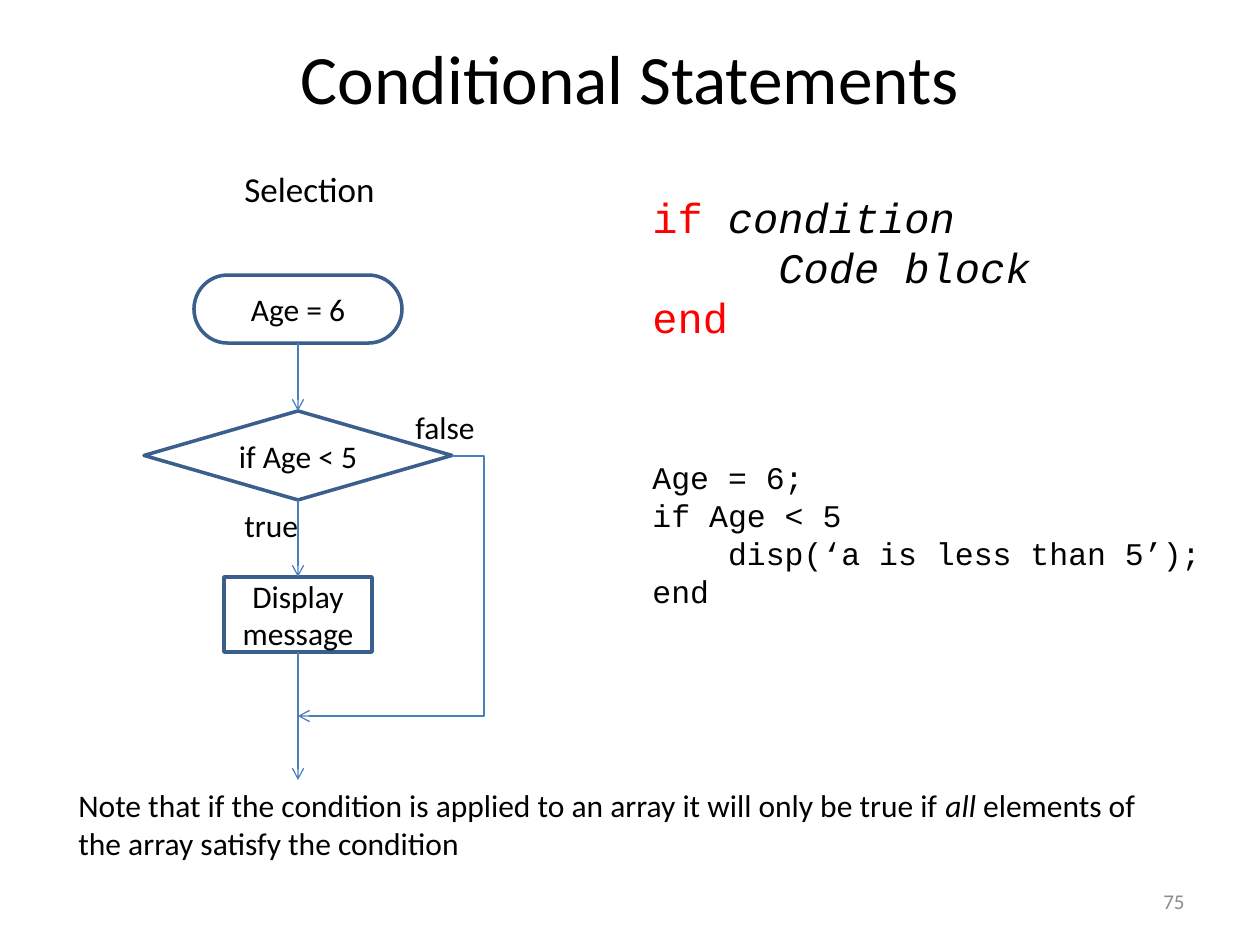
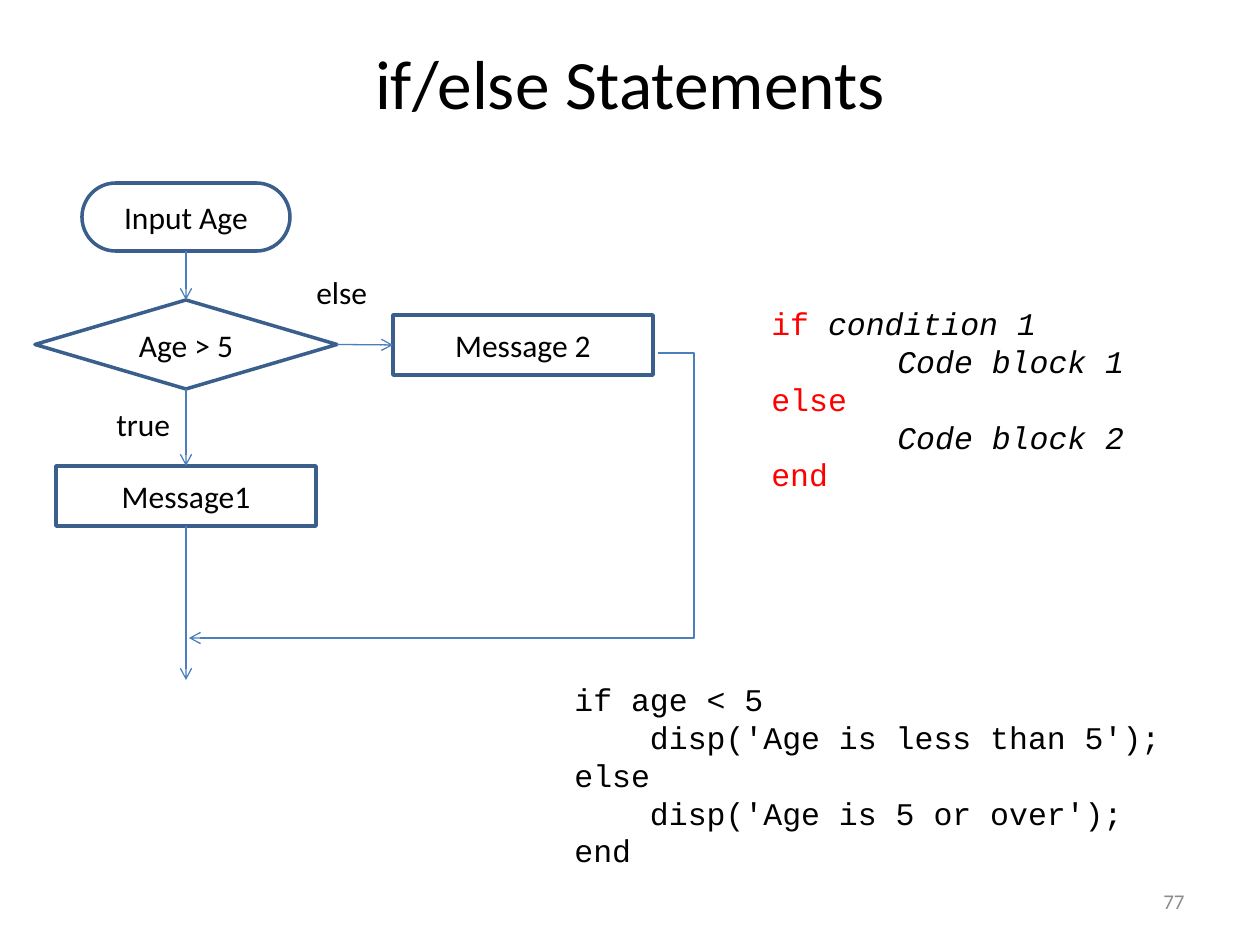
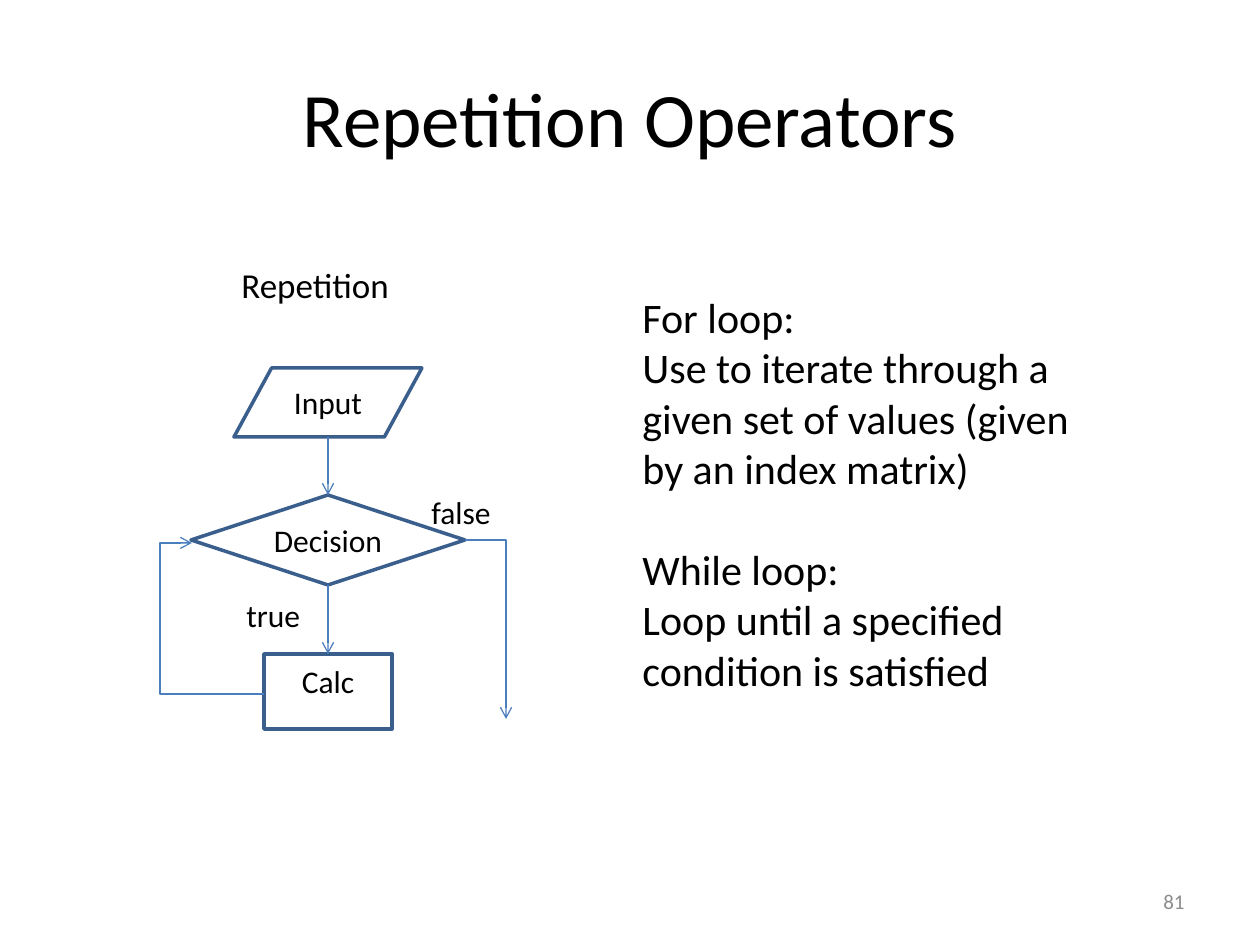
from lxml.etree import SubElement
from pptx import Presentation
from pptx.dml.color import RGBColor
from pptx.enum.shapes import MSO_CONNECTOR, MSO_SHAPE
from pptx.enum.text import MSO_ANCHOR, MSO_AUTO_SIZE, PP_ALIGN
from pptx.oxml.ns import qn
from pptx.util import Emu, Pt

# Shared look
PX_PER_INCH = 126
BLACK, RED, GREY = "000000", "FF0000", "8C8C8C"
OUTLINE, ARROW = "3A5F8C", "4B7EBC"
SANS, MONO = "Calibri", "Courier New"
TITLE_ONLY = 5
TOP, LEFT, BOTTOM, RIGHT = range(4)
DECISION = MSO_SHAPE.FLOWCHART_DECISION
PROCESS = MSO_SHAPE.FLOWCHART_PROCESS
TERMINATOR = MSO_SHAPE.FLOWCHART_TERMINATOR
DATA = MSO_SHAPE.FLOWCHART_DATA


def px(n):
    return Emu(round(n * 914400 / PX_PER_INCH))


def rgb(color):
    return RGBColor.from_string(color)


def style(r, size, font=SANS, color=BLACK, italic=False):
    r.font.size, r.font.name, r.font.italic = Pt(size), font, italic
    r.font.color.rgb = rgb(color)


# Text
def add_slide(prs, title, height, number, size=39.6):
    s = prs.slides.add_slide(prs.slide_layouts[TITLE_ONLY])
    sp = s.shapes.title
    sp.left, sp.top, sp.width, sp.height = px(63), px(38), px(1134), px(height)
    tf = sp.text_frame
    tf.text = title
    tf.auto_size = MSO_AUTO_SIZE.NONE
    tf.vertical_anchor = MSO_ANCHOR.MIDDLE
    tf.paragraphs[0].alignment = PP_ALIGN.CENTER
    style(tf.paragraphs[0].runs[0], size)
    tf = add_text(s, 903, 876, 294, 50, [number], 12, color=GREY, align=PP_ALIGN.RIGHT)
    tf.auto_size = MSO_AUTO_SIZE.NONE
    tf.vertical_anchor = MSO_ANCHOR.MIDDLE
    return s


def add_text(s, x, y, w, h, lines, size=18, font=SANS, color=BLACK, align=PP_ALIGN.LEFT):
    """Each line is a string or a list of (text, color, italic) pieces."""
    tf = s.shapes.add_textbox(px(x), px(y), px(w), px(h)).text_frame
    tf.word_wrap = True
    tf.auto_size = MSO_AUTO_SIZE.SHAPE_TO_FIT_TEXT
    for i, line in enumerate(lines):
        p = tf.add_paragraph() if i else tf.paragraphs[0]
        p.alignment = align
        pieces = [(line, color, False)] if isinstance(line, str) else line
        for text, piece_color, italic in pieces:
            r = p.add_run()
            r.text = text
            style(r, size, font, piece_color, italic)
    return tf


def add_syntax(s, x, y, w, h, lines, size):
    """Keywords are red; a line that is only a placeholder is indented."""
    pieces = [[(word + " " * bool(word and slot), RED, False)] * bool(word)
              + [(slot, BLACK, True)] * bool(slot) for word, slot in lines]
    tf = add_text(s, x, y, w, h, pieces, size, MONO)
    for p, (word, _) in zip(tf.paragraphs, lines):
        if not word:
            pPr = p._p.get_or_add_pPr()
            pPr.set("marL", str(px(PX_PER_INCH)))
            pPr.set("indent", "0")


def add_centred_label(s, x, y, w, text):
    add_text(s, x, y, w, 50, [text], align=PP_ALIGN.CENTER).word_wrap = False


# Flowchart
def add_node(s, kind, cx, y, w, h, text=""):
    sp = s.shapes.add_shape(kind, px(cx - w / 2), px(y), px(w), px(h))
    sp.shadow.inherit = False
    sp.fill.background()
    sp.line.color.rgb = rgb(OUTLINE)
    sp.line.width = Pt(2)
    if text:
        tf = sp.text_frame
        tf.text = text
        tf.word_wrap = True
        tf.vertical_anchor = MSO_ANCHOR.MIDDLE
        tf.paragraphs[0].alignment = PP_ALIGN.CENTER
        style(tf.paragraphs[0].runs[0], 18)
    return sp


def add_connector(s, kind, start, end):
    c = s.shapes.add_connector(kind, px(start[0]), px(start[1]), px(end[0]), px(end[1]))
    c.line.color.rgb = rgb(ARROW)
    c.line.width = Pt(0.75)
    SubElement(c.line._get_or_add_ln(), qn("a:tailEnd"), type="arrow")
    SubElement(c._element.spPr, qn("a:effectLst"))
    return c


def add_arrow(s, start, end):
    """Each end is an (x, y) point or a (node, side) pair."""
    ends = [e if isinstance(e[0], int) else (0, 0) for e in (start, end)]
    c = add_connector(s, MSO_CONNECTOR.STRAIGHT, *ends)
    if not isinstance(start[0], int):
        c.begin_connect(*start)
    if not isinstance(end[0], int):
        c.end_connect(*end)


def add_elbow(s, start, end, via_x):
    """Run sideways to via_x, then vertically, then on to the end."""
    c = add_connector(s, MSO_CONNECTOR.ELBOW, start, end)
    geom = c._element.spPr.find(qn("a:prstGeom"))
    if via_x == end[0]:
        geom.set("prst", "bentConnector2")
        return
    guides = geom.find(qn("a:avLst"))
    if guides is None:
        guides = SubElement(geom, qn("a:avLst"))
    ratio = round(100000 * (via_x - start[0]) / (end[0] - start[0]))
    SubElement(guides, qn("a:gd"), name="adj1", fmla=f"val {ratio}")


# Slides
def conditional_slide(prs):
    s = add_slide(prs, "Conditional Statements", 77, "75")
    add_syntax(s, 640, 185, 427, 165,
               [("if", "condition"), ("", "Code block"), ("end", "")], 24)
    add_text(s, 640, 452, 576, 165, [
        "Age = 6;",
        "if Age < 5",
        "    disp(‘a is less than 5’);",
        "end"], font=MONO)
    add_text(s, 66, 780, 1101, 89, [[
        ("Note that if the condition is applied to an array it will only be true if ", BLACK, False),
        ("all", BLACK, True),
        (" elements of the array satisfy the condition", BLACK, False)]])
    add_text(s, 232, 161, 169, 55, ["Selection"], 20)

    cx = 298
    age = add_node(s, TERMINATOR, cx, 275, 208, 68, "Age = 6")
    test = add_node(s, DECISION, cx, 411, 308, 89, "if Age < 5")
    message = add_node(s, PROCESS, cx, 577, 148, 75, "Display message")
    add_arrow(s, (age, BOTTOM), (test, TOP))
    add_arrow(s, (test, BOTTOM), (message, TOP))
    add_arrow(s, (message, BOTTOM), (cx, 780))
    add_elbow(s, (452, 456), (cx, 716), 484)
    add_text(s, 232, 500, 83, 50, ["true"])
    add_text(s, 403, 402, 100, 50, ["false"])


def if_else_slide(prs):
    s = add_slide(prs, "if/else Statements", 87, "77")
    add_syntax(s, 759, 298, 392, 242, [
        ("if", "condition 1"), ("", "Code block 1"),
        ("else", ""), ("", "Code block 2"), ("end", "")], 18)
    add_text(s, 562, 674, 635, 242, [
        "if age < 5",
        "    disp('Age is less than 5');",
        "else",
        "    disp('Age is 5 or over');",
        "end"], font=MONO)

    cx = 186
    age = add_node(s, TERMINATOR, cx, 183, 208, 68, "Input Age")
    test = add_node(s, DECISION, cx, 300, 302, 89, "Age > 5")
    message1 = add_node(s, PROCESS, cx, 466, 260, 60, "Message1")
    message2 = add_node(s, PROCESS, 523, 315, 260, 60, "Message 2")
    add_arrow(s, (age, BOTTOM), (test, TOP))
    add_arrow(s, (test, BOTTOM), (message1, TOP))
    add_arrow(s, (test, RIGHT), (message2, LEFT))
    add_arrow(s, (message1, BOTTOM), (cx, 680))
    add_elbow(s, (658, 353), (189, 638), 694)
    add_text(s, 104, 399, 100, 50, ["true"])
    add_text(s, 304, 267, 123, 50, ["else"])


def repetition_slide(prs):
    s = add_slide(prs, "Repetition Operators", 158, "81", size=44)
    add_text(s, 229, 257, 198, 55, ["Repetition"], 20)
    tf = add_text(s, 630, 285, 486, 420, [
        "For loop:",
        "Use to iterate through a given set of values (given by an index matrix)",
        "While loop:",
        "Loop until a specified condition is satisfied"], 24)
    tf.paragraphs[2].space_before = Pt(29)

    cx = 328
    add_node(s, DATA, cx, 368, 188, 69)
    test = add_node(s, DECISION, cx, 495, 274, 90, "Decision")
    calc = add_node(s, PROCESS, cx, 654, 128, 75)
    add_arrow(s, (cx, 437), (test, TOP))
    add_arrow(s, (test, BOTTOM), (calc, TOP))
    add_elbow(s, (264, 694), (192, 543), 160)
    add_elbow(s, (465, 540), (506, 719), 506)
    add_centred_label(s, 281, 377, 94, "Input")
    add_centred_label(s, 289, 656, 78, "Calc")
    add_text(s, 234, 590, 83, 50, ["true"])
    add_text(s, 419, 487, 100, 50, ["false"])


def main():
    prs = Presentation()
    prs.slide_width, prs.slide_height = px(1260), px(945)
    conditional_slide(prs)
    if_else_slide(prs)
    repetition_slide(prs)
    prs.save("out.pptx")


if __name__ == "__main__":
    main()
